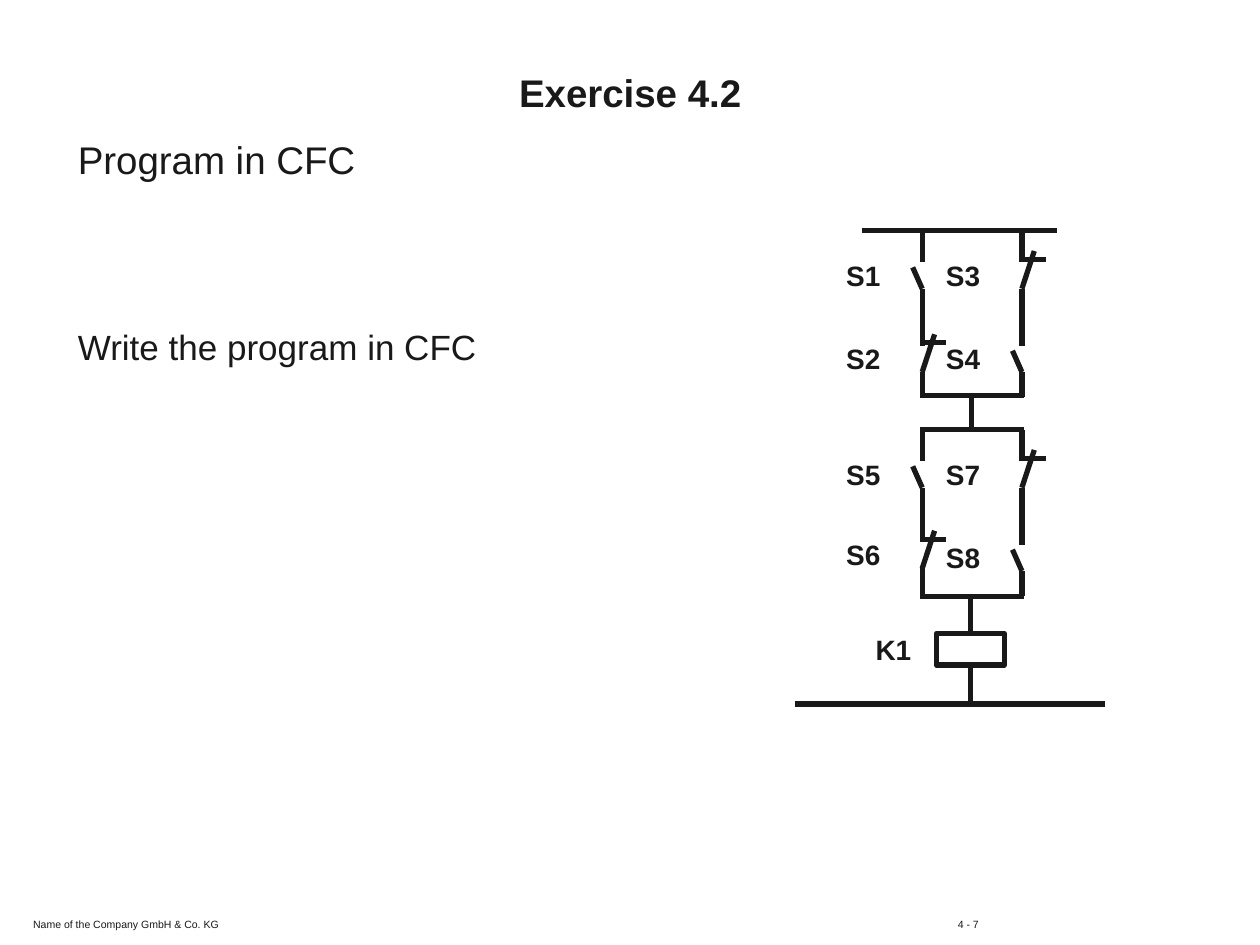
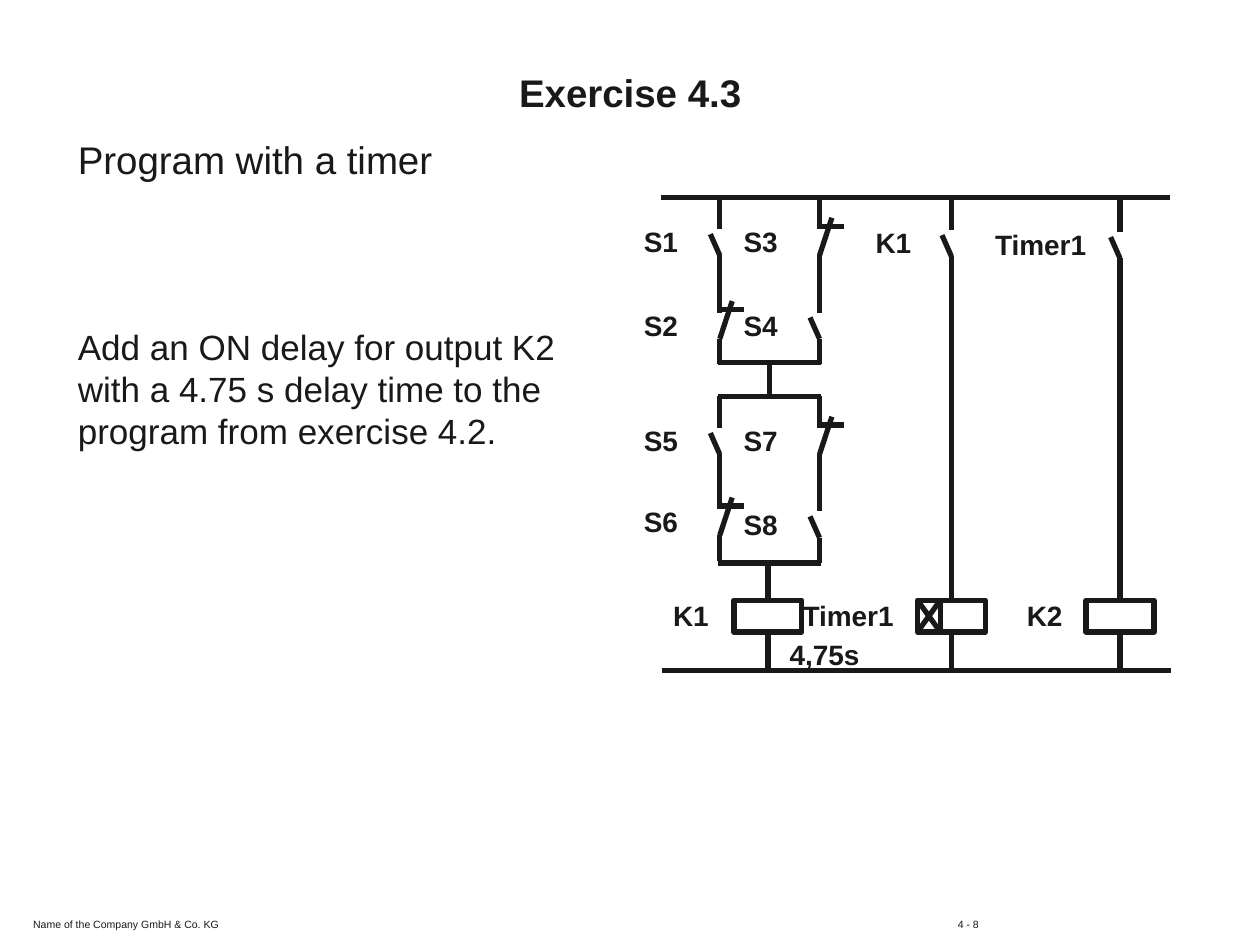
from lxml.etree import SubElement
from pptx import Presentation
from pptx.dml.color import RGBColor
from pptx.enum.shapes import MSO_CONNECTOR as Connector, MSO_SHAPE as Shape
from pptx.enum.text import MSO_ANCHOR as Anchor, PP_ALIGN as Align
from pptx.oxml.ns import qn
from pptx.util import Cm, Pt

color = RGBColor.from_string
INK, PAPER = "191919", "FFFFFF"

STYLES = {
    "title": {"size": Pt(22), "bold": True},
    "subtitle": {"size": Pt(22), "bold": False},
    "task": {"size": Pt(20), "bold": False},
    "label": {"size": Pt(16), "bold": True},
    "footer": {"size": Pt(6), "bold": False},
}
LABEL_WIDTH, LABEL_HEIGHT = 1.37, 0.94
COIL_WIDTH, COIL_HEIGHT = 1.37, 0.64
COLUMN_GAP = 2.01

# Switches of the main branch: name, normally closed, offset from its top left
SWITCHES = [
    ("S1", False, 0, 0), ("S3", True, COLUMN_GAP, 0),
    ("S2", True, 0, 1.68), ("S4", False, COLUMN_GAP, 1.68),
    ("S5", False, 0, 4.01), ("S7", True, COLUMN_GAP, 4.01),
    ("S6", True, 0, 5.64), ("S8", False, COLUMN_GAP, 5.69),
]
BRIDGES = [3.33, 4.01, 7.37]
COIL_TOP, BOTTOM_RAIL = 8.12, 9.54

EXERCISES = [
    {"title": "Exercise 4.2", "subtitle": "Program in CFC", "number": "4 - 7",
     "task": "Write the program in CFC", "task_width": 13.51,
     "origin": (18.59, 4.65), "top_rail": (17.37, 21.31),
     "bottom_rail": (16.03, 22.28), "branches": [], "notes": []},
    {"title": "Exercise 4.3", "subtitle": "Program with a timer", "number": "4 - 8",
     "task": "Add an ON delay for output K2 with a 4.75 s delay time "
             "to the program from exercise 4.2.", "task_width": 10.74,
     "origin": (14.51, 3.98), "top_rail": (13.32, 23.58),
     "bottom_rail": (13.34, 23.6),
     # contact, coil, x, y, contact label gap, coil label gap, label width
     "branches": [("K1", "Timer1", 19.18, 4.0, 1.78, 3.25),
                  ("Timer1", "K2", 22.58, 4.04, 2.77, 2.13)],
     "notes": [("4,75s", 15.67, 12.73)]},
]


def write(page, text, style, left, top, width, height):
    box = page.shapes.add_textbox(Cm(left), Cm(top), Cm(width), Cm(height))
    frame = box.text_frame
    frame.word_wrap = True
    para = frame.paragraphs[0]
    span = para.add_run()
    span.text = text
    span.font.name = "Arial"
    span.font.color.rgb = color(INK)
    for name, value in STYLES[style].items():
        setattr(span.font, name, value)
    if style == "title":
        para.alignment = Align.CENTER
    if style in ("title", "footer"):
        frame.vertical_anchor = Anchor.MIDDLE
    if style == "footer":
        frame.margin_top = frame.margin_bottom = Cm(0.1)


def wire(page, x1, y1, x2, y2):
    line = page.shapes.add_connector(Connector.STRAIGHT, Cm(x1), Cm(y1), Cm(x2), Cm(y2))
    line.line.color.rgb = color(INK)
    line.line.width = Pt(3)
    SubElement(line._element.spPr, qn("a:effectLst"))


deck = Presentation()
deck.slide_width, deck.slide_height = Cm(25.4), Cm(19.05)

for exercise in EXERCISES:
    page = deck.slides.add_slide(deck.slide_layouts[6])
    write(page, "Name of the Company GmbH & Co. KG", "footer", 0.42, 18.39, 10, 0.48)
    write(page, exercise["number"], "footer", 19.06, 18.39, 2, 0.48)
    write(page, exercise["title"], "title", 0.97, 1.22, 23.47, 1.27)
    write(page, exercise["subtitle"], "subtitle", 1.32, 2.62, 9.32, 1.19)
    write(page, exercise["task"], "task", 1.32, 6.43, exercise["task_width"], 2.64)

    # Rails, and the bridges and leads of the main branch
    left, top = exercise["origin"]
    bottom = top + BOTTOM_RAIL
    for (start, end), y in ((exercise["top_rail"], top), (exercise["bottom_rail"], bottom)):
        wire(page, start, y, end, y)
    for bridge in BRIDGES:
        wire(page, left - 0.04, top + bridge, left + COLUMN_GAP + 0.04, top + bridge)
    middle = left + 0.97
    wire(page, middle + 0.03, top + BRIDGES[0], middle + 0.03, top + BRIDGES[1])
    wire(page, middle, top + BRIDGES[2], middle, bottom)

    contacts = [(name, closed, left + x, top + y, 1.78) for name, closed, x, y in SWITCHES]
    coils = [("K1", middle, 2.16)]
    for contact, coil, x, y, contact_gap, coil_gap in exercise["branches"]:
        contacts.append((contact, False, x, y, contact_gap))
        coils.append((coil, x, coil_gap))
        wire(page, x, y + 1.6, x, bottom)

    for name, closed, x, y, gap in contacts:
        wire(page, x, y, x, y + 0.64)
        wire(page, x, y + 1.17, x, y + 1.68)
        if closed:
            wire(page, x + 0.25, y + 0.41, x, y + 1.17)
            wire(page, x - 0.02, y + 0.58, x + 0.49, y + 0.58)
        else:
            wire(page, x - 0.19, y + 0.74, x, y + 1.17)
        write(page, name, "label", x - gap, y + 0.43, max(LABEL_WIDTH, gap - 0.38), LABEL_HEIGHT)

    coil_top = top + COIL_TOP
    for name, x, gap in coils:
        coil_left = x - COIL_WIDTH / 2
        coil = page.shapes.add_shape(Shape.RECTANGLE, Cm(coil_left), Cm(coil_top),
                                     Cm(COIL_WIDTH), Cm(COIL_HEIGHT))
        coil.shadow.inherit = False
        coil.fill.solid()
        coil.fill.fore_color.rgb = color(PAPER)
        coil.line.color.rgb = color(INK)
        coil.line.width = Pt(3)
        if name.startswith("Timer"):
            divider, coil_bottom = coil_left + 0.46, coil_top + COIL_HEIGHT
            wire(page, divider, coil_top, divider, coil_bottom)
            wire(page, coil_left, coil_top, divider, coil_bottom)
            wire(page, divider, coil_top, coil_left, coil_bottom)
        write(page, name, "label", x - gap, coil_top - 0.15,
              max(LABEL_WIDTH, gap - 0.76), LABEL_HEIGHT)

    for text, x, y in exercise["notes"]:
        write(page, text, "label", x, y, 2.49, LABEL_HEIGHT)

deck.save("out.pptx")
